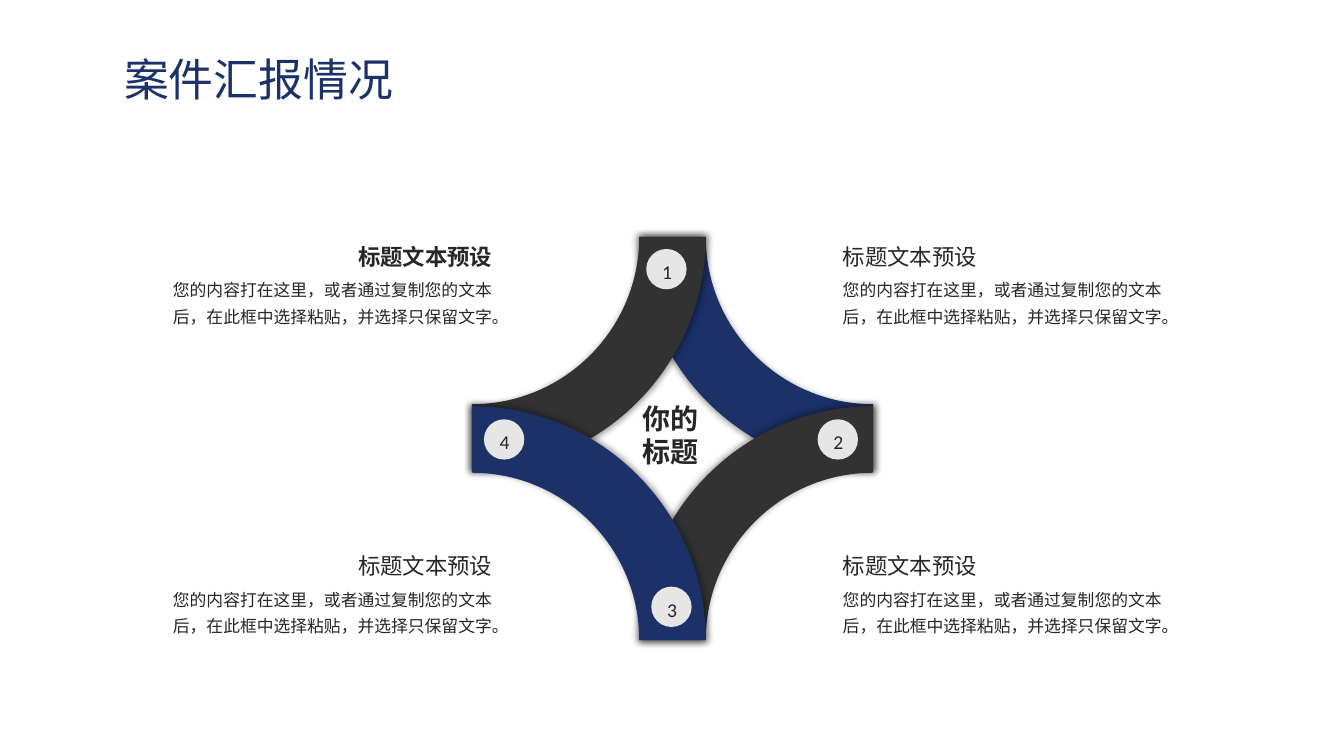
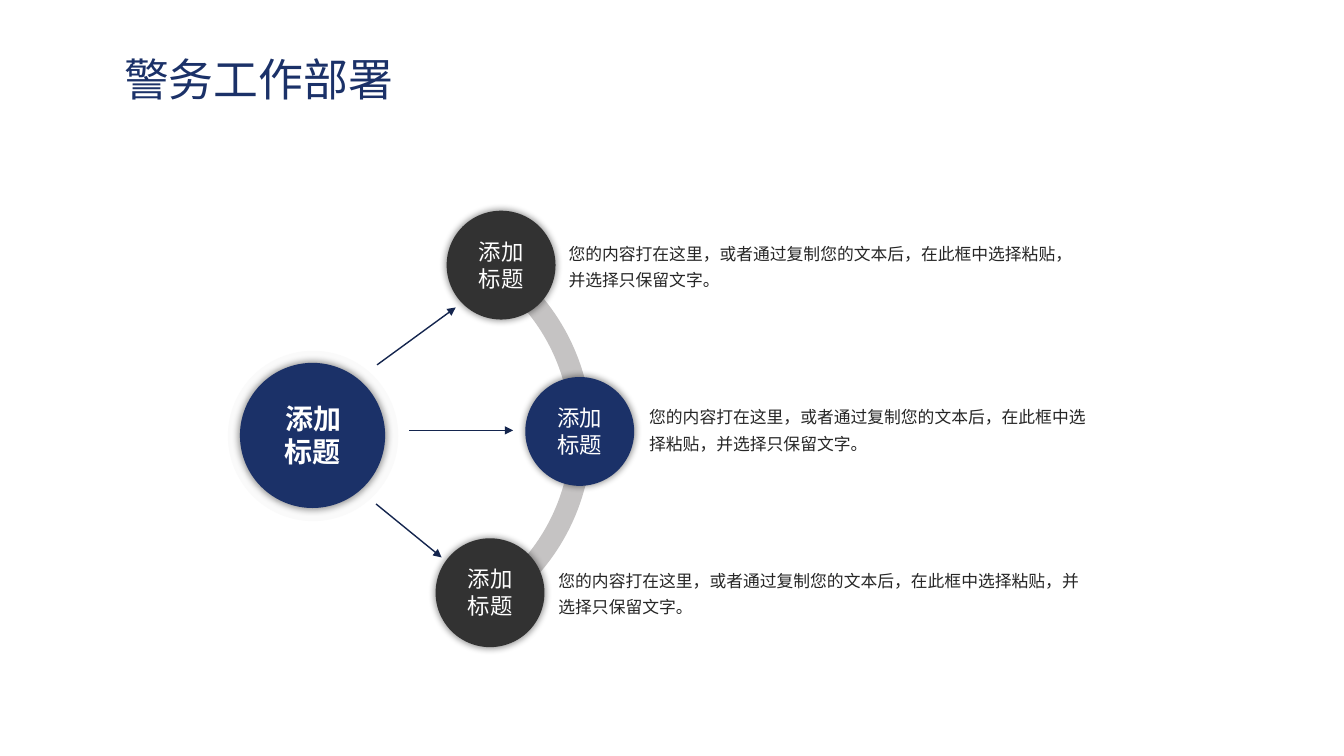
from math import cos, radians, sin, tan

from lxml import etree
from pptx import Presentation
from pptx.dml.color import RGBColor
from pptx.enum.lang import MSO_LANGUAGE_ID
from pptx.enum.shapes import MSO_CONNECTOR, MSO_SHAPE
from pptx.enum.text import MSO_ANCHOR, MSO_AUTO_SIZE, PP_ALIGN
from pptx.oxml.ns import qn
from pptx.util import Inches, Pt

LEFT, CENTER, RIGHT = PP_ALIGN.LEFT, PP_ALIGN.CENTER, PP_ALIGN.RIGHT
TOP, MIDDLE = MSO_ANCHOR.TOP, MSO_ANCHOR.MIDDLE
GROW, FIXED = MSO_AUTO_SIZE.SHAPE_TO_FIT_TEXT, MSO_AUTO_SIZE.NONE
OVAL, STRAIGHT = MSO_SHAPE.OVAL, MSO_CONNECTOR.STRAIGHT
CHINESE = MSO_LANGUAGE_ID.SIMPLIFIED_CHINESE
TITLE_ONLY = 5

NAVY = RGBColor(0x1B, 0x31, 0x68)
ARROW_NAVY = RGBColor(0x14, 0x25, 0x4E)
CHARCOAL = RGBColor(0x32, 0x32, 0x32)
INK = RGBColor(0x26, 0x26, 0x26)
BADGE_GRAY = RGBColor(0xE7, 0xE6, 0xE6)
ARC_GRAY = RGBColor(0xC5, 0xC3, 0xC3)
HALO = RGBColor(0xFA, 0xFA, 0xFA)
WHITE = RGBColor(0xFF, 0xFF, 0xFF)
CJK, LATIN, BOLD_FONT = "Noto Sans CJK SC", "Calibri", "Arial"

# Content
BODY = "您的内容打在这里，或者通过复制您的文本后，在此框中选择粘贴，并选择只保留文字。"
HEADING = "标题文本预设"
NODE_LABEL = "添加标题"

REPORT_TITLE = "案件汇报情况"
REPORT_CENTER = "你的标题"
# left, top, width, alignment, bold heading
REPORT_NOTES = [
    (1.55, 2.36, 3.43, RIGHT, True),
    (8.26, 2.36, 3.52, LEFT, False),
    (8.26, 5.43, 3.52, LEFT, False),
    (1.55, 5.43, 3.43, RIGHT, False),
]
# horizontal side, vertical side, start angle, colour
RIBBONS = [
    (1, -1, 90, NAVY),
    (-1, -1, 0, CHARCOAL),
    (1, 1, 180, CHARCOAL),
    (-1, 1, 270, NAVY),
]
BADGES = [("1", 6.41, 2.47), ("2", 8.11, 4.16), ("3", 6.46, 5.82), ("4", 4.8, 4.16)]

PLAN_TITLE = "警务工作部署"
# circle left, top, colour, note left, top, width
PLAN_NODES = [
    (4.43, 2.09, CHARCOAL, 5.54, 2.31, 5.29),
    (5.21, 3.74, NAVY, 6.34, 3.93, 4.65),
    (4.32, 5.34, CHARCOAL, 5.44, 5.55, 5.39),
]
ARROWS = [(3.74, 3.62, 4.52, 3.05), (4.06, 4.27, 5.09, 4.27), (3.73, 5, 4.38, 5.53)]


def write(frame, text, font=LATIN, size=12, color=INK, bold=False,
          align=LEFT, spacing=None, anchor=TOP):
    frame.word_wrap = True
    frame.vertical_anchor = anchor
    paragraph = frame.paragraphs[0]
    paragraph.alignment = align
    if spacing:
        paragraph.line_spacing = spacing
    run = paragraph.add_run()
    run.text = text
    run.font.name = font
    run.font.size = Pt(size)
    run.font.bold = bold
    run.font.color.rgb = color
    run.font.language_id = CHINESE
    east_asian = etree.SubElement(run.font._element, qn("a:ea"))
    east_asian.set("typeface", CJK)


def text_box(slide, left, top, width, height, text, **style):
    box = slide.shapes.add_textbox(*map(Inches, (left, top, width, height)))
    write(box.text_frame, text, **style)
    box.text_frame.auto_size = GROW


def paint(shape, color, glow=False):
    shape.fill.solid()
    shape.fill.fore_color.rgb = color
    shape.line.fill.background()
    shape.shadow.inherit = False
    if glow:
        effects = shape._element.spPr.find(qn("a:effectLst"))
        shadow = etree.SubElement(effects, qn("a:outerShdw"), blurRad=str(Pt(5)),
                                  sx="102000", sy="102000", algn="ctr", rotWithShape="0")
        black = etree.SubElement(shadow, qn("a:srgbClr"), val="000000")
        etree.SubElement(black, qn("a:alpha"), val="40000")


def disc(slide, left, top, size, color, glow=False):
    circle = slide.shapes.add_shape(OVAL, *map(Inches, (left, top, size, size)))
    paint(circle, color, glow)
    return circle


def arc_points(x, y, radius, start, end, parts):
    """Start point, then two control points and an end point for each part."""
    step = radians(end - start) / parts
    reach = 4 / 3 * tan(step / 4)

    def point(angle, pull):
        return (Inches(x + radius * (cos(angle) - pull * sin(angle))),
                Inches(y + radius * (sin(angle) + pull * cos(angle))))

    points = [point(radians(start), 0)]
    for part in range(parts):
        begin = radians(start) + part * step
        points += [point(begin, reach), point(begin + step, -reach), point(begin + step, 0)]
    return points


def ring_segment(slide, x, y, outer, inner, start, end, color, parts=1, glow=False):
    points = (arc_points(x, y, outer, start, end, parts)
              + arc_points(x, y, inner, end, start, parts))
    builder = slide.shapes.build_freeform(*points[0])
    builder.add_line_segments(points[1:], close=True)
    segment = builder.convert_to_shape()
    # Join each control pair and end point into one curve
    lines = list(segment._element.iter(qn("a:lnTo")))
    outer_edge, inner_edge = lines[:3 * parts], lines[3 * parts + 1:6 * parts + 1]
    for edge in (outer_edge, inner_edge):
        for i in range(0, len(edge), 3):
            curve = etree.Element(qn("a:cubicBezTo"))
            edge[i].addprevious(curve)
            for line in edge[i:i + 3]:
                curve.append(line[0])
                line.getparent().remove(line)
    paint(segment, color, glow)


def arrow(slide, *ends):
    connector = slide.shapes.add_connector(STRAIGHT, *map(Inches, ends))
    connector.line.color.rgb = ARROW_NAVY
    connector.line.width = Pt(1)
    etree.SubElement(connector.line._get_or_add_ln(), qn("a:tailEnd"), type="triangle")
    etree.SubElement(connector._element.spPr, qn("a:effectLst"))


def titled_slide(deck, text):
    slide = deck.slides.add_slide(deck.slide_layouts[TITLE_ONLY])
    title = slide.shapes.title
    title.left, title.top, title.width, title.height = map(Inches, (1.16, 0.54, 4.33, 0.47))
    frame = title.text_frame
    frame.margin_left = frame.margin_right = Inches(0.07)
    frame.margin_top = frame.margin_bottom = Inches(0.04)
    write(frame, text, font=CJK, size=32, color=NAVY, anchor=MIDDLE)
    frame.auto_size = FIXED
    return slide


def build_report(deck):
    slide = titled_slide(deck, REPORT_TITLE)
    # Four notes around the star
    for left, top, width, align, bold in REPORT_NOTES:
        text_box(slide, left, top, width, 0.37, HEADING, size=16, bold=bold,
                 font=BOLD_FONT if bold else LATIN, align=align)
        text_box(slide, left, top + 0.31, width, 0.6, BODY, font=CJK,
                 align=align, spacing=1.3)
    # Star of quarter rings, each centred on an outer corner
    for side_x, side_y, start, color in RIBBONS:
        ring_segment(slide, 6.67 + side_x * 1.99, 4.35 + side_y * 2, 2.32, 1.66,
                     start, start + 90, color, glow=True)
    text_box(slide, 6.17, 3.93, 0.96, 0.77, REPORT_CENTER, font=BOLD_FONT,
             size=20, bold=True, align=CENTER)
    for number, left, top in BADGES:
        badge = disc(slide, left, top, 0.4, BADGE_GRAY)
        write(badge.text_frame, number, size=14, align=CENTER)


def build_plan(deck):
    slide = titled_slide(deck, PLAN_TITLE)
    # Hub, arc and arrows
    disc(slide, 2.26, 3.48, 1.69, HALO)
    ring_segment(slide, 3.76, 4.3, 2.11, 1.9, 58.7, -59.7, ARC_GRAY, parts=2)
    for ends in ARROWS:
        arrow(slide, *ends)
    disc(slide, 2.38, 3.6, 1.44, NAVY, glow=True)
    text_box(slide, 2.64, 3.93, 0.93, 0.77, NODE_LABEL, size=20, color=WHITE,
             bold=True, align=CENTER)
    # Nodes with their notes
    for left, top, color, note_left, note_top, note_width in PLAN_NODES:
        disc(slide, left, top, 1.08, color, glow=True)
        text_box(slide, left + 0.15, top + 0.22, 0.78, 0.64, NODE_LABEL, size=16,
                 color=WHITE, align=CENTER)
        text_box(slide, note_left, note_top, note_width, 0.6, BODY, spacing=1.3)


def main():
    deck = Presentation()
    deck.slide_width, deck.slide_height = Inches(13.33), Inches(7.5)
    build_report(deck)
    build_plan(deck)
    deck.save("out.pptx")


if __name__ == "__main__":
    main()
